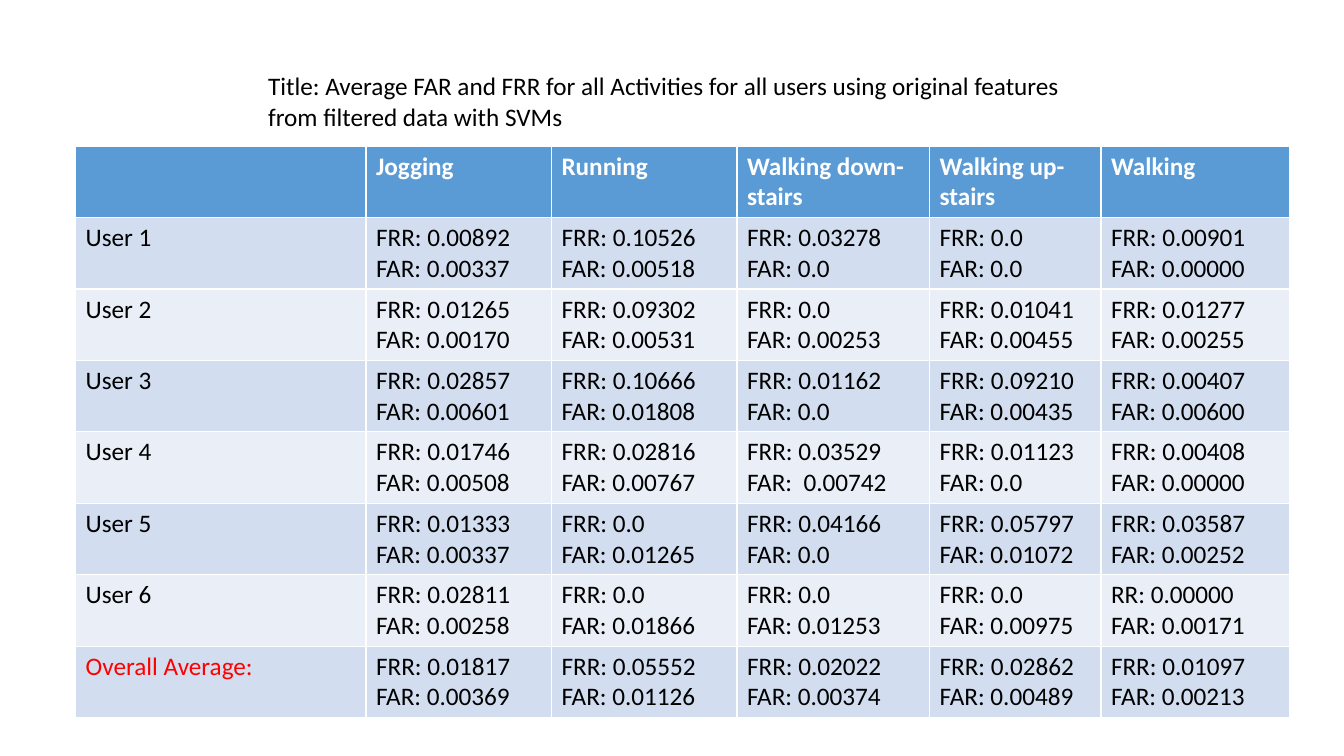
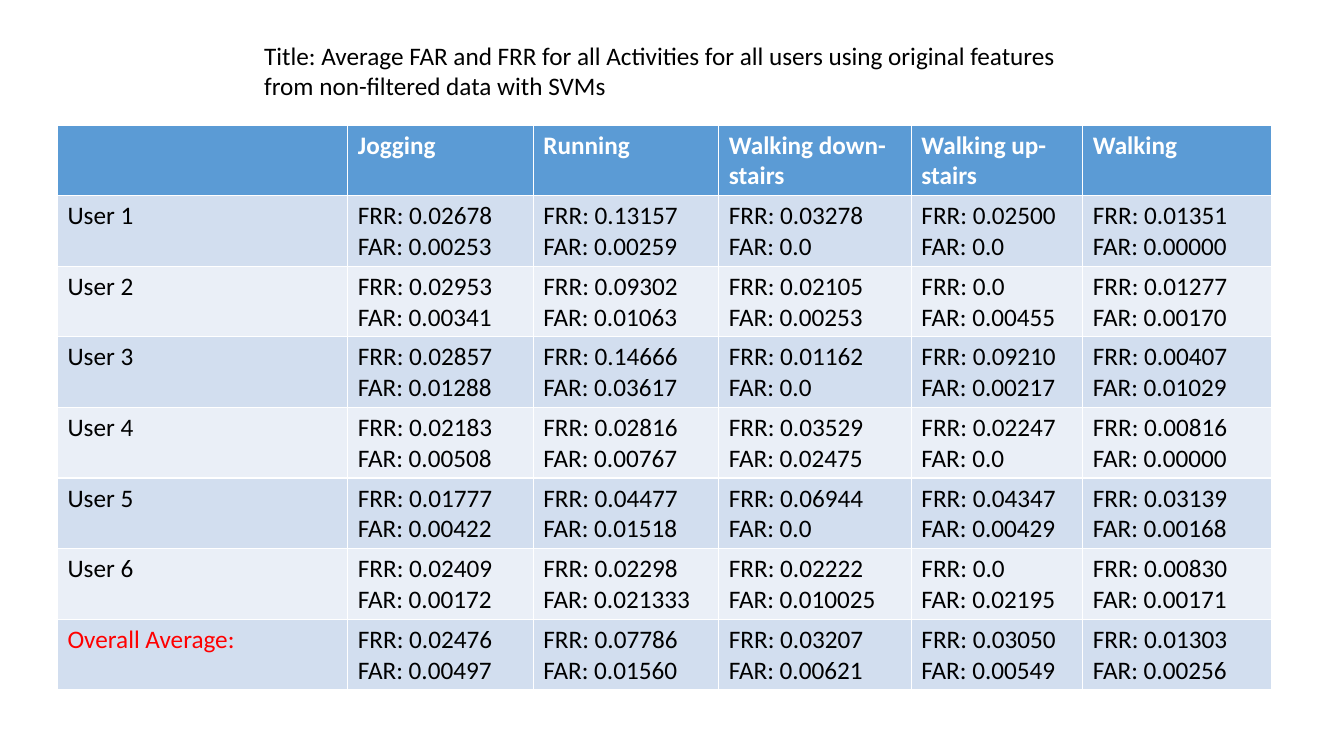
from pptx import Presentation
from pptx.dml.color import RGBColor
from pptx.enum.text import MSO_ANCHOR, MSO_AUTO_SIZE, PP_ALIGN
from pptx.util import Inches, Pt

WHITE = RGBColor(0xFF, 0xFF, 0xFF)
BLACK = RGBColor(0x00, 0x00, 0x00)
RED = RGBColor(0xFF, 0x00, 0x00)
BLUE = RGBColor(0x5B, 0x9B, 0xD5)
BANDS = RGBColor(0xEA, 0xEF, 0xF7), RGBColor(0xD2, 0xDE, 0xEF)

FONT, SIZE = "Calibri", Pt(18)
TITLE = ("Title: Average FAR and FRR for all Activities for all users "
         "using original features from {} data with SVMs")
HEADS = ["", "Jogging", "Running", "Walking down-stairs",
         "Walking up-stairs", "Walking"]
NAMES = [f"User {n}" for n in range(1, 7)] + ["Overall Average:"]
WIDTHS = 2.88, 1.84, 1.84, 1.91, 1.7, 1.87

# One row per name: the FRR of each activity, then the FAR of each.
CLEAN = [
    ("0.00892 0.10526 0.03278 0.0 0.00901", "0.00337 0.00518 0.0 0.0 0.00000"),
    ("0.01265 0.09302 0.0 0.01041 0.01277", "0.00170 0.00531 0.00253 0.00455 0.00255"),
    ("0.02857 0.10666 0.01162 0.09210 0.00407", "0.00601 0.01808 0.0 0.00435 0.00600"),
    ("0.01746 0.02816 0.03529 0.01123 0.00408", "0.00508 0.00767 0.00742 0.0 0.00000"),
    ("0.01333 0.0 0.04166 0.05797 0.03587", "0.00337 0.01265 0.0 0.01072 0.00252"),
    ("0.02811 0.0 0.0 0.0 0.00000", "0.00258 0.01866 0.01253 0.00975 0.00171"),
    ("0.01817 0.05552 0.02022 0.02862 0.01097", "0.00369 0.01126 0.00374 0.00489 0.00213"),
]
RAW = [
    ("0.02678 0.13157 0.03278 0.02500 0.01351", "0.00253 0.00259 0.0 0.0 0.00000"),
    ("0.02953 0.09302 0.02105 0.0 0.01277", "0.00341 0.01063 0.00253 0.00455 0.00170"),
    ("0.02857 0.14666 0.01162 0.09210 0.00407", "0.01288 0.03617 0.0 0.00217 0.01029"),
    ("0.02183 0.02816 0.03529 0.02247 0.00816", "0.00508 0.00767 0.02475 0.0 0.00000"),
    ("0.01777 0.04477 0.06944 0.04347 0.03139", "0.00422 0.01518 0.0 0.00429 0.00168"),
    ("0.02409 0.02298 0.02222 0.0 0.00830", "0.00172 0.021333 0.010025 0.02195 0.00171"),
    ("0.02476 0.07786 0.03207 0.03050 0.01303", "0.00497 0.01560 0.00621 0.00549 0.00256"),
]
# Cells worded unlike the rest, by row and column.
ODD = {(4, 3): "FRR: 0.03529\nFAR:  0.00742",
       (6, 5): "RR: 0.00000\nFAR: 0.00171"}


def style(frame, color, bold=False):
    """Set the shared font on every paragraph of a text frame."""
    for para in frame.paragraphs:
        font = para.font
        font.name, font.size, font.bold = FONT, SIZE, bold
        font.color.rgb = color


def add_title(slide, text, box):
    """Place the title placeholder in its box, left and top aligned."""
    title = slide.shapes.title
    title.left, title.top, title.width, title.height = map(Inches, box)
    frame = title.text_frame
    frame.text = text
    frame.word_wrap = True
    frame.auto_size = MSO_AUTO_SIZE.SHAPE_TO_FIT_TEXT
    frame.vertical_anchor = MSO_ANCHOR.TOP
    frame.paragraphs[0].alignment = PP_ALIGN.LEFT
    style(frame, BLACK)


def make_rows(data, odd):
    """Return the text of all table rows, header first."""
    rows = [HEADS]
    for name, (frr, far) in zip(NAMES, data):
        pairs = zip(frr.split(), far.split())
        rows.append([name] + [f"FRR: {a}\nFAR: {b}" for a, b in pairs])
    for (row, col), text in odd.items():
        rows[row][col] = text
    return rows


def add_rates(slide, rows, box):
    """Place the banded table of rates in its box."""
    table = slide.shapes.add_table(
        len(rows), len(HEADS), *map(Inches, box)).table
    for col, width in zip(table.columns, WIDTHS):
        col.width = Inches(width)
    for r, row in enumerate(rows):
        for c, text in enumerate(row):
            cell = table.cell(r, c)
            cell.text = text
            cell.fill.solid()
            cell.fill.fore_color.rgb = BANDS[r % 2] if r else BLUE
            last = r == len(rows) - 1 and c == 0
            color = RED if last else BLACK if r else WHITE
            style(cell.text_frame, color, bold=r == 0)


def add_page(deck, kind, data, odd, head, grid):
    """Add one slide with its title and table of rates."""
    slide = deck.slides.add_slide(deck.slide_layouts[5])
    add_title(slide, TITLE.format(kind), head)
    add_rates(slide, make_rows(data, odd), grid)


deck = Presentation()
deck.slide_width, deck.slide_height = Inches(13.33), Inches(7.5)
add_page(deck, "filtered", CLEAN, ODD,
         (2.56, 0.65, 8.13, 0.71), (0.75, 1.45, 12.04, 5.67))
add_page(deck, "non-filtered", RAW, {},
         (2.52, 0.35, 8.13, 0.71), (0.57, 1.24, 12.04, 5.6))
deck.save("out.pptx")
